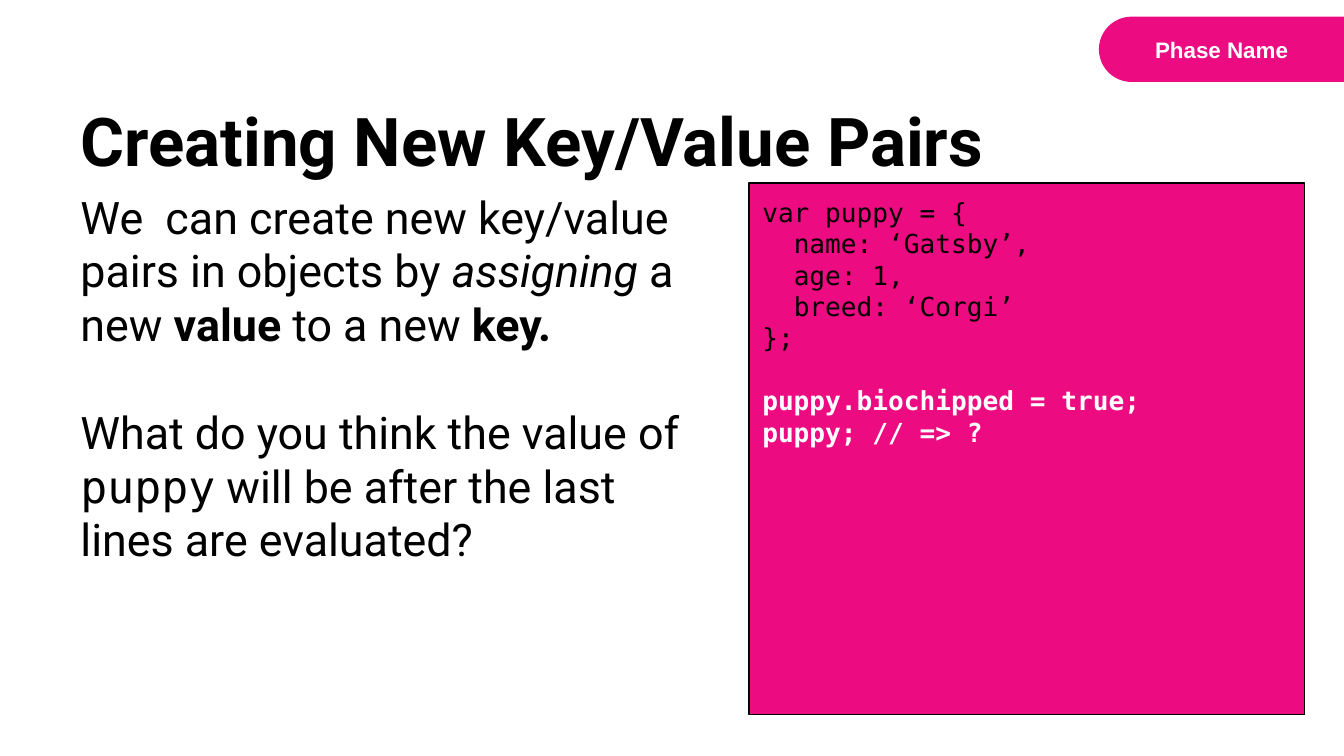
from pptx import Presentation
from pptx.dml.color import RGBColor
from pptx.enum.shapes import MSO_SHAPE as Preset
from pptx.enum.text import MSO_ANCHOR as Anchor, MSO_AUTO_SIZE as AutoSize, PP_ALIGN as Align
from pptx.util import Pt

COLORS = {"pink": "EC0B80", "black": "000000", "white": "FFFFFF"}
SANS, BODY, MONO = "Arial", "Roboto", "DejaVu Sans Mono"


def prepare_frame(shape, anchor=Anchor.TOP):
    frame = shape.text_frame
    frame.word_wrap = True
    frame.auto_size = AutoSize.NONE
    frame.vertical_anchor = anchor
    frame.margin_left = frame.margin_right = Pt(7.2)
    frame.margin_top = frame.margin_bottom = Pt(7.2)
    return frame


def add_run(paragraph, text, font, size, color="black", bold=False, italic=False):
    run = paragraph.add_run()
    run.text = text
    run.font.name = font
    run.font.size = Pt(size)
    run.font.bold = bold
    run.font.italic = italic
    run.font.color.rgb = RGBColor.from_string(COLORS[color])


presentation = Presentation()
presentation.slide_width = Pt(720)
presentation.slide_height = Pt(405)
slide = presentation.slides.add_slide(presentation.slide_layouts[6])
shapes = slide.shapes

phase_tab = shapes.add_shape(Preset.ROUND_2_SAME_RECTANGLE, Pt(637), Pt(-39.4), Pt(35), Pt(131.6))
phase_tab.rotation = 270
phase_tab.adjustments[0] = 0.5
phase_tab.adjustments[1] = 0
phase_tab.shadow.inherit = False
phase_tab.fill.solid()
phase_tab.fill.fore_color.rgb = RGBColor.from_string(COLORS["pink"])
phase_tab.line.fill.background()

phase_label = shapes.add_textbox(Pt(592.5), Pt(12.2), Pt(124), Pt(29))
phase_frame = prepare_frame(phase_label)
phase_frame.auto_size = AutoSize.SHAPE_TO_FIT_TEXT
paragraph = phase_frame.paragraphs[0]
paragraph.alignment = Align.CENTER
add_run(paragraph, "Phase Name", SANS, 12, "white", bold=True)

title = shapes.add_textbox(Pt(36), Pt(36), Pt(648), Pt(67.6))
title_frame = prepare_frame(title, Anchor.BOTTOM)
add_run(title_frame.paragraphs[0], "Creating New Key/Value Pairs", BODY, 36, bold=True)

explanation = shapes.add_textbox(Pt(36), Pt(94.3), Pt(348), Pt(293))
explanation_frame = prepare_frame(explanation)
paragraph = explanation_frame.paragraphs[0]
for text, bold, italic in (
    ("We  can create new key/value pairs in objects by ", False, False),
    ("assigning ", False, True),
    ("a new ", False, False),
    ("value", True, False),
    (" to a new ", False, False),
    ("key.", True, False),
):
    add_run(paragraph, text, BODY, 24, bold=bold, italic=italic)

paragraph = explanation_frame.add_paragraph()
paragraph.space_before = Pt(28.8)
for text, font in (
    ("What do you think the value of ", BODY),
    ("puppy", MONO),
    (" will be after the last lines are evaluated?", BODY),
):
    add_run(paragraph, text, font, 24)

code_panel = shapes.add_shape(Preset.RECTANGLE, Pt(401.3), Pt(98), Pt(297.7), Pt(285))
code_panel.shadow.inherit = False
code_panel.fill.solid()
code_panel.fill.fore_color.rgb = RGBColor.from_string(COLORS["pink"])
code_panel.line.color.rgb = RGBColor.from_string(COLORS["black"])
code_panel.line.width = Pt(0.75)
code_frame = prepare_frame(code_panel)
code_lines = (
    ("var puppy = {", 0, 0, "black"),
    ("name: ‘Gatsby’,", 16.86, 0, "black"),
    ("age: 1,", 16.86, 0, "black"),
    ("breed: ‘Corgi’", 16.86, 0, "black"),
    ("};", 0, 0, "black"),
    ("puppy.biochipped = true;", 0, 16.8, "white"),
    ("puppy; // => ?", 0, 0, "white"),
)
for index, (text, indent, gap, color) in enumerate(code_lines):
    paragraph = code_frame.add_paragraph() if index else code_frame.paragraphs[0]
    paragraph.alignment = Align.LEFT
    paragraph.space_before = Pt(gap)
    paragraph._p.get_or_add_pPr().set("marL", str(Pt(indent)))
    add_run(paragraph, text, MONO, 14, color, bold=color == "white")

presentation.save("out.pptx")
